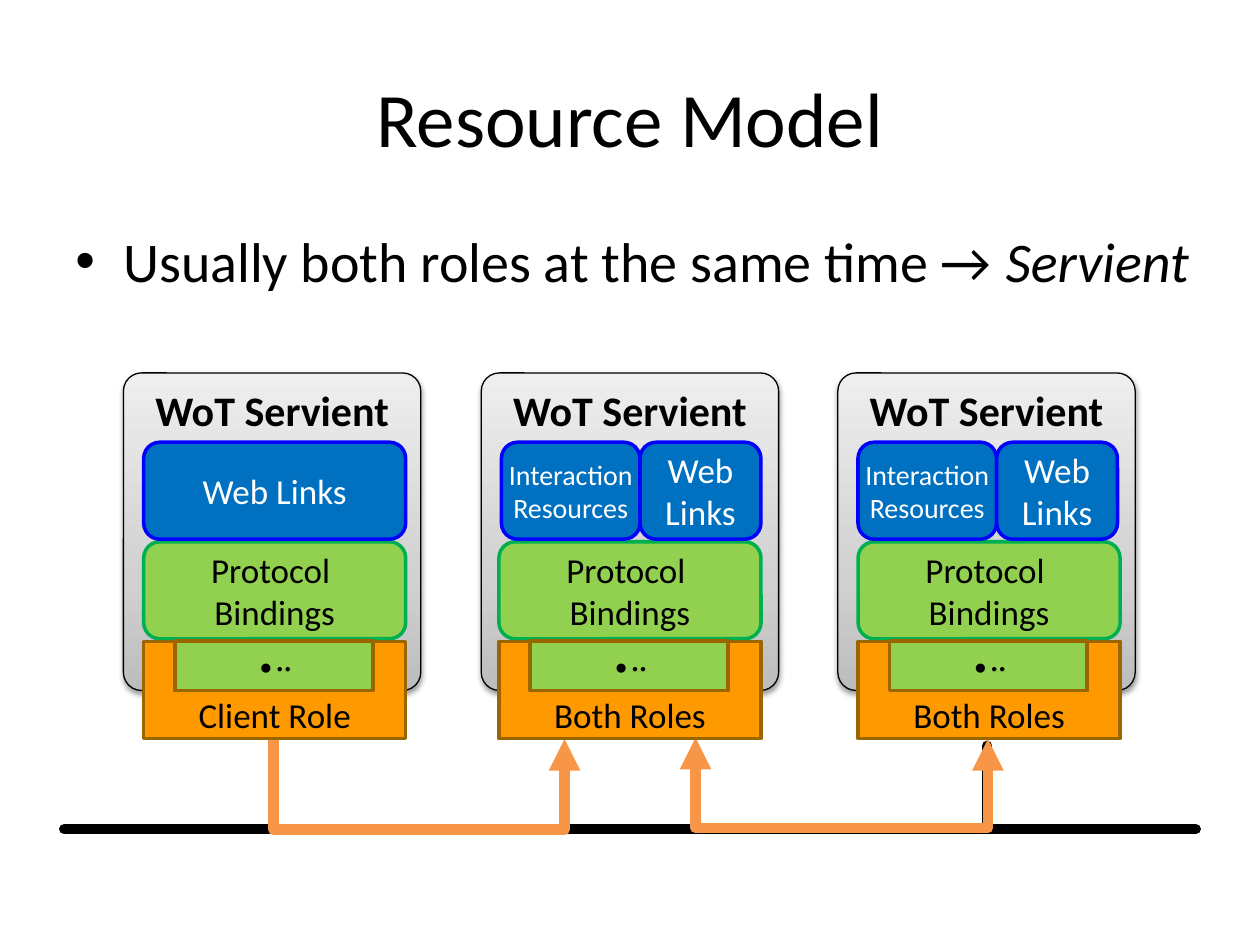
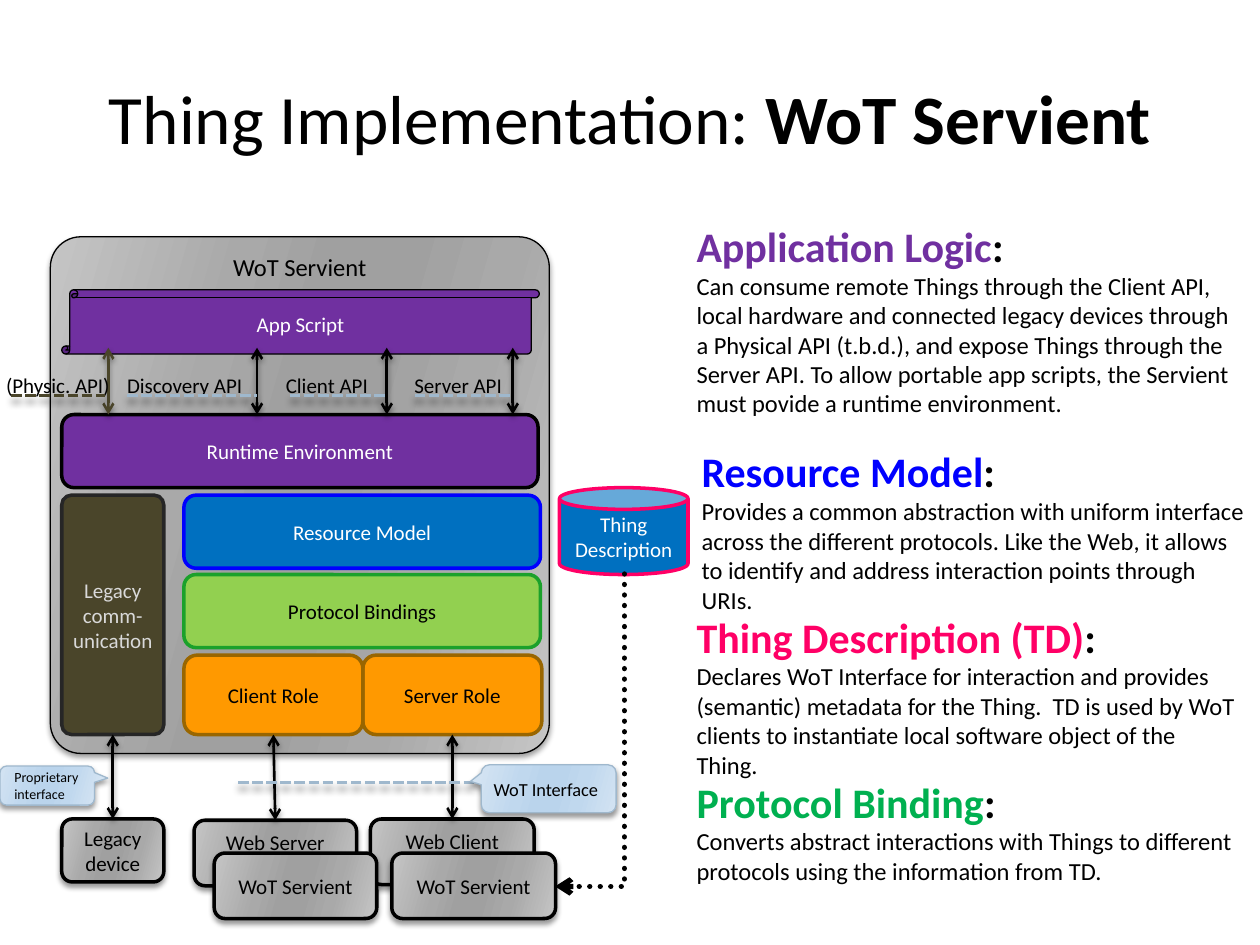
from lxml import etree
from pptx import Presentation
from pptx.dml.color import RGBColor
from pptx.enum.dml import MSO_LINE
from pptx.enum.shapes import MSO_CONNECTOR, MSO_SHAPE
from pptx.enum.text import MSO_ANCHOR, PP_ALIGN
from pptx.oxml.ns import nsdecls, qn
from pptx.util import Inches, Pt

ROUND, RECT = MSO_SHAPE.ROUNDED_RECTANGLE, MSO_SHAPE.RECTANGLE
SCROLL, CAN = MSO_SHAPE.VERTICAL_SCROLL, MSO_SHAPE.CAN
CALL = MSO_SHAPE.ROUNDED_RECTANGULAR_CALLOUT
LINE, ELBOW = MSO_CONNECTOR.STRAIGHT, MSO_CONNECTOR.ELBOW
DASH, DOT = MSO_LINE.SQUARE_DOT, MSO_LINE.ROUND_DOT
TOP, MID, LOW = MSO_ANCHOR.TOP, MSO_ANCHOR.MIDDLE, MSO_ANCHOR.BOTTOM
LEFT, CENTER = PP_ALIGN.LEFT, PP_ALIGN.CENTER

# Shared look
FONT = "Calibri"
BLACK, WHITE = RGBColor(0, 0, 0), RGBColor(255, 255, 255)
BLUE, NAVY = RGBColor(0, 0x70, 0xC0), RGBColor(0, 0, 255)
LIME, GREEN, LEAF = RGBColor(0x92, 0xD0, 0x50), RGBColor(0, 0xB0, 0x50), RGBColor(0x1B, 0xA1, 0x2B)
AMBER, BROWN, CORAL = RGBColor(0xFF, 0x99, 0), RGBColor(0x99, 0x66, 0), RGBColor(0xF7, 0x96, 0x46)
PLUM, PINK = RGBColor(0x70, 0x30, 0xA0), RGBColor(0xFF, 0, 0x66)
OLIVE, COAL, PALE = RGBColor(0x4A, 0x45, 0x2A), RGBColor(0x26, 0x26, 0x26), RGBColor(0xD9, 0xD9, 0xD9)
STEEL = RGBColor(0x9F, 0xB8, 0xCD)


def sheen(edge, side, core):
    return [(0, edge), (30, side), (45, core), (55, core), (73, side), (100, edge)], 16


SILVER = [(0, "BDBDBD"), (35, "D1D1D1"), (100, "EEEEEE")], 270
GRAY = sheen("C5C5C5", "A9A9A9", "A0A0A0")
SKY = sheen("D3E3F2", "C0D8EE", "BAD4EC")
SOFT, DEEP, FAR = (38, 3.1, 1.6), (40, 3, 2), (40, 4, 3.4)

# Format of each kind of box: fill, line, width, ink, shadow
KINDS = {
    "panel": (SILVER, BLACK, 0.75, BLACK, SOFT),
    "frame": (GRAY, BLACK, 0.75, BLACK, DEEP),
    "node": (GRAY, BLACK, 2, BLACK, DEEP),
    "note": (SKY, STEEL, 0.75, BLACK, DEEP),
    "model": (BLUE, NAVY, 2, WHITE, None),
    "bind": (LIME, GREEN, 2, BLACK, None),
    "proto": (LIME, LEAF, 2, BLACK, None),
    "role": (AMBER, BROWN, 2, BLACK, None),
    "slot": (LIME, BROWN, 2.25, BLACK, None),
    "app": (PLUM, BLACK, 0.75, WHITE, None),
    "run": (PLUM, BLACK, 2, WHITE, None),
    "old": (OLIVE, COAL, 2, PALE, None),
    "thing": (BLUE, PINK, 2, WHITE, None),
}

# Slide 1: panel left, inner left, blue parts (label, width, size), role
HEAD_1 = [("Resource Model", {})]
POINT = [("Usually both roles at the same time → ", {}), ("Servient", {"italic": True})]
PAIR = [("Interaction\vResources", 1.1, 16), ("Web\vLinks", 0.96, 20)]
STACKS = [
    (0.98, 1.14, [("Web Links", 2.08, 20)], "Client Role"),
    (3.82, 3.96, PAIR, "Both Roles"),
    (6.65, 6.81, PAIR, "Both Roles"),
]
STUBS = [2.165, 7.835]
HOPS = [(2.17, 4.48, 5.86, 0.74, False), (5.52, 7.84, 5.86, 0.73, True)]

# Slide 2: boxes as (kind, shape, place, text, more)
HEAD_2 = [("Thing Implementation: ", {}), ("WoT Servient", {"bold": True})]
BOXES = [
    ("frame", ROUND, (0.4, 1.88, 3.96, 4.1), "WoT Servient", {"size": 14, "anchor": TOP, "adj": [0.061], "wrap": False}),
    ("role", ROUND, (2.88, 5.2, 1.42, 0.63), "Server Role", {}),
    ("role", ROUND, (1.46, 5.2, 1.42, 0.63), "Client Role", {}),
    ("proto", ROUND, (1.46, 4.56, 2.83, 0.58), "Protocol Bindings", {}),
    ("model", ROUND, (1.46, 3.93, 2.83, 0.58), "Resource Model", {}),
    ("app", SCROLL, (0.49, 2.3, 3.79, 0.51), "App Script", {"wrap": False}),
    ("old", ROUND, (0.49, 3.93, 0.81, 1.9), "Legacy comm-unication", {"adj": [0.095], "ins": (0.04, 0.05, 0.04, 0.05)}),
    ("thing", CAN, (4.44, 3.87, 1.02, 0.69), "Thing\nDescription", {"wrap": False}),
    ("node", ROUND, (0.49, 6.5, 0.81, 0.5), "Legacy\ndevice", {"wrap": False}),
    ("node", ROUND, (1.54, 6.51, 1.29, 0.52), "Web Server", {"anchor": TOP, "wrap": False}),
    ("node", ROUND, (2.94, 6.5, 1.3, 0.52), "Web Client", {"anchor": TOP, "wrap": False}),
    ("run", ROUND, (0.49, 3.29, 3.78, 0.58), "Runtime Environment", {}),
    ("node", ROUND, (1.7, 6.77, 1.29, 0.52), "WoT Servient", {"wrap": False}),
    ("node", ROUND, (3.11, 6.77, 1.3, 0.52), "WoT Servient", {"wrap": False}),
]
NOTES = [
    ((0, 6.08, 0.75, 0.31), "Proprietary interface", {"size": 8, "adj": [0.64, -0.191, 0.167]}),
    ((3.82, 6.07, 1.07, 0.38), "WoT Interface", {"size": 10.5, "adj": [-0.58, -0.154, 0.167], "ins": (0.08, 0.05, 0, 0.05)}),
]
JOINS = [("Legacy comm-unication", "Legacy\ndevice"), ("Client Role", "Web Server"), ("Server Role", "Web Client")]
# API label, label left and width, dash start and end, arrow x, arrow and dash colours
APIS = [
    ("Client API", 2.17, 0.94, 2.3, 3.07, 3.07, BLACK, STEEL),
    ("Server API", 3.19, 0.96, 3.29, 4.07, 4.07, BLACK, STEEL),
    ("Discovery API", 0.91, 1.18, 1.01, 2.04, 2.04, BLACK, STEEL),
    ("(Physic. API)", -0.05, 1.03, 0.09, 0.83, 0.86, OLIVE, OLIVE),
]
TERMS = [
    (5.43, 1.7, 1.68, "Application Logic", PLUM,
     "Can consume remote Things through the Client API, local hardware and connected legacy devices "
     "through a Physical API (t.b.d.), and expose Things through the Server API. To allow portable "
     "app scripts, the Servient must povide a runtime environment."),
    (5.47, 3.49, 1.21, "Resource Model", NAVY,
     "Provides a common abstraction with uniform interface across the different protocols. Like the "
     "Web, it allows to identify and address interaction points through URIs."),
    (5.43, 4.8, 1.21, "Thing Description (TD)", PINK,
     "Declares WoT Interface for interaction and provides (semantic) metadata for the Thing.  TD is "
     "used by WoT clients to instantiate local software object of the Thing."),
    (5.43, 6.11, 0.98, "Protocol Binding", GREEN,
     "Converts abstract interactions with Things to different protocols using the information from TD."),
]


# Drawing helpers
def node(tag, parent=None, **attrs):
    item = etree.fromstring(f"<a:{tag} {nsdecls('a')}/>")
    for key, value in attrs.items():
        item.set(key, str(value))
    if parent is not None:
        parent.append(item)
    return item


def shade(part, glow):
    """Give a part its own shadow, or none."""
    props = part._element.spPr
    for old in props.findall(qn("a:effectLst")):
        props.remove(old)
    list_ = node("effectLst", props)
    if glow:
        alpha, blur, dist = glow
        cast = node("outerShdw", list_, blurRad=Pt(blur), dist=Pt(dist), dir=5400000, rotWithShape=0)
        node("alpha", node("srgbClr", cast, val="000000"), val=alpha * 1000)


def paint(part, fill):
    if isinstance(fill, RGBColor):
        part.fill.solid()
        part.fill.fore_color.rgb = fill
        return
    stops, angle = fill
    part.fill.background()
    props = part._element.spPr
    grad = node("gradFill", rotWithShape=1)
    row = node("gsLst", grad)
    for pos, code in stops:
        node("srgbClr", node("gs", row, pos=pos * 1000), val=code)
    node("lin", grad, ang=angle * 60000, scaled=0)
    props.replace(props.find(qn("a:noFill")), grad)


def write(part, text, size=12, ink=BLACK, align=CENTER, anchor=MID, wrap=True,
          ins=(0.1, 0.05, 0.1, 0.05), bold=False):
    """Text is a string, or a list of paragraphs made of (words, format) runs."""
    if isinstance(text, str):
        text = [[(row, {})] for row in text.split("\n")]
    frame = part.text_frame
    frame.word_wrap, frame.vertical_anchor = wrap, anchor
    for side, gap in zip(("left", "top", "right", "bottom"), ins):
        setattr(frame, f"margin_{side}", Inches(gap))
    for i, runs in enumerate(text):
        para = frame.add_paragraph() if i else frame.paragraphs[0]
        para.alignment = align
        for words, more in runs:
            form = {"name": FONT, "size": Pt(size), "bold": bold, **more}
            tint = form.pop("ink", ink)
            for j, row in enumerate(words.split("\v")):
                if j:
                    para.add_line_break()
                run = para.add_run()
                run.text = row
                for key, value in form.items():
                    setattr(run.font, key, value)
                run.font.color.rgb = tint


def dress(part, kind, text, **more):
    fill, edge, width, ink, glow = KINDS[kind]
    paint(part, fill)
    part.line.color.rgb, part.line.width = edge, Pt(width)
    shade(part, glow)
    write(part, text, ink=ink, **more)
    return part


def box(slide, kind, form, place, text, adj=(), **more):
    part = slide.shapes.add_shape(form, *map(Inches, place))
    for i, value in enumerate(adj):
        part.adjustments[i] = value
    return dress(part, kind, text, **more)


def label(slide, place, text, **more):
    part = slide.shapes.add_textbox(*map(Inches, place))
    write(part, text, **more)
    return part


def link(slide, ends, color=BLACK, width=1.5, head=None, tail=None, dash=None,
         glow=None, cap=None, form=LINE):
    part = slide.shapes.add_connector(form, *map(Inches, ends))
    part.line.color.rgb, part.line.width = color, Pt(width)
    if dash:
        part.line.dash_style = dash
    pen = part._element.spPr.find(qn("a:ln"))
    if cap:
        pen.set("cap", cap)
        node("round", pen)
    for tag, tip in (("headEnd", head), ("tailEnd", tail)):
        if tip:
            node(tag, pen, type=tip)
    shade(part, glow)
    return part


def bend(part, preset, turn, flip=False, ratio=None):
    """Turn an elbow about its centre and set its middle leg."""
    props = part._element.spPr
    frame, shape = props.find(qn("a:xfrm")), props.find(qn("a:prstGeom"))
    frame.set("rot", str(turn * 60000))
    if flip:
        frame.set("flipH", "1")
    shape.set("prst", preset)
    if ratio:
        guides = shape.find(qn("a:avLst"))
        if guides is None:
            guides = node("avLst", shape)
        node("gd", guides, name="adj1", fmla=f"val {round(ratio * 100000)}")


def start(deck, head, size):
    slide = deck.slides.add_slide(deck.slide_layouts[6])
    label(slide, (0.5, 0.3, 9, 1.25), [head], size=size)
    return slide


def cup(slide, x, y, text):
    """Role block with a notch in its top side."""
    steps = [(0.25, 0), (0.25, 0.39), (1.82, 0.39), (1.82, 0), (2.08, 0), (2.08, 0.77), (0, 0.77)]
    path = slide.shapes.build_freeform(Inches(x), Inches(y))
    path.add_line_segments([(Inches(x + dx), Inches(y + dy)) for dx, dy in steps])
    dress(path.convert_to_shape(), "role", text, size=20, anchor=LOW, ins=(0.1, 0, 0.1, 0.02))


def roles(deck):
    slide = start(deck, HEAD_1, 44)
    body = label(slide, (0.5, 1.75, 9.3, 4.95), [POINT], size=32, align=LEFT, anchor=TOP)
    para = body.text_frame.paragraphs[0]._p.get_or_add_pPr()
    para.set("marL", str(Inches(0.38)))
    para.set("indent", str(-Inches(0.38)))
    node("buFont", para, typeface="Arial")
    node("buChar", para, char="•")
    for x, *_ in STACKS:
        box(slide, "panel", ROUND, (x, 2.96, 2.36, 2.52), "WoT Servient", adj=[0.061],
            size=24, bold=True, anchor=TOP, wrap=False)

    # Bus and the hops between servients
    link(slide, (0.51, 6.58, 9.49, 6.58), width=6, cap="rnd")
    for x in STUBS:
        link(slide, (x, 6.56, x, 5.92), width=6, cap="rnd")
    for x1, x2, y, drop, both in HOPS:
        span, thin, mid = x2 - x1, 0.01, (x1 + x2) / 2
        hop = link(slide, (mid - thin / 2, y - span / 2, mid + thin / 2, y + span / 2), CORAL, 6,
                   head="triangle" if both else None, tail="triangle", cap="rnd", form=ELBOW)
        bend(hop, "bentConnector3", 270, True, drop / thin)

    # Layers of each servient
    for x, inner, blues, role in STACKS:
        box(slide, "bind", ROUND, (inner, 4.3, 2.08, 0.77), "Protocol \vBindings", size=20)
        cup(slide, inner, 5.09, role)
        box(slide, "slot", RECT, (inner + 0.25, 5.09, 1.57, 0.39), "∙··", size=18)
        left = x + 0.16
        for text, wide, size in blues:
            side = 0 if size == 16 else 0.1
            box(slide, "model", ROUND, (left, 3.51, wide, 0.77), text, size=size,
                ins=(side, 0.05, side, 0.05))
            left += wide


def layers(deck):
    slide = start(deck, HEAD_2, 39.6)
    parts = {}
    for kind, form, place, text, more in BOXES:
        parts[text] = box(slide, kind, form, place, text, **more)
    both = {"head": "arrow", "tail": "arrow", "glow": DEEP}
    for upper, lower in JOINS:
        arrow = link(slide, (0, 0, 1, 1), **both)
        arrow.begin_connect(parts[upper], 2)
        arrow.end_connect(parts[lower], 0)

    # APIs between script and runtime
    for text, left, wide, x1, x2, x, ink, tint in APIS:
        link(slide, (x, 2.76, x, 3.29), ink, **both)
        label(slide, (left, 2.91, wide, 0.3), text, align=LEFT, anchor=TOP)
        link(slide, (x1, 3.14, x2, 3.14), tint, 2, dash=DASH, glow=FAR)

    # Outer interfaces
    link(slide, (1.89, 6.21, 3.9, 6.21), STEEL, 2, dash=DASH, glow=FAR)
    for place, text, more in NOTES:
        box(slide, "note", CALL, place, text, align=LEFT, **more)
    path = link(slide, (3.44, 5.52, 5.92, 6.07), width=3, tail="arrow", dash=DOT, cap="rnd", form=ELBOW)
    bend(path, "bentConnector2", 90)

    # Terms on the right
    for x, y, high, term, ink, text in TERMS:
        head = {"size": Pt(24), "bold": True}
        label(slide, (x, y, 4.53, high), [[(term, {**head, "ink": ink}), (":", head)], [(text, {})]],
              size=14, align=LEFT, anchor=TOP)


def main():
    deck = Presentation()
    deck.slide_width, deck.slide_height = Inches(10), Inches(7.5)
    roles(deck)
    layers(deck)
    deck.save("out.pptx")


if __name__ == "__main__":
    main()
